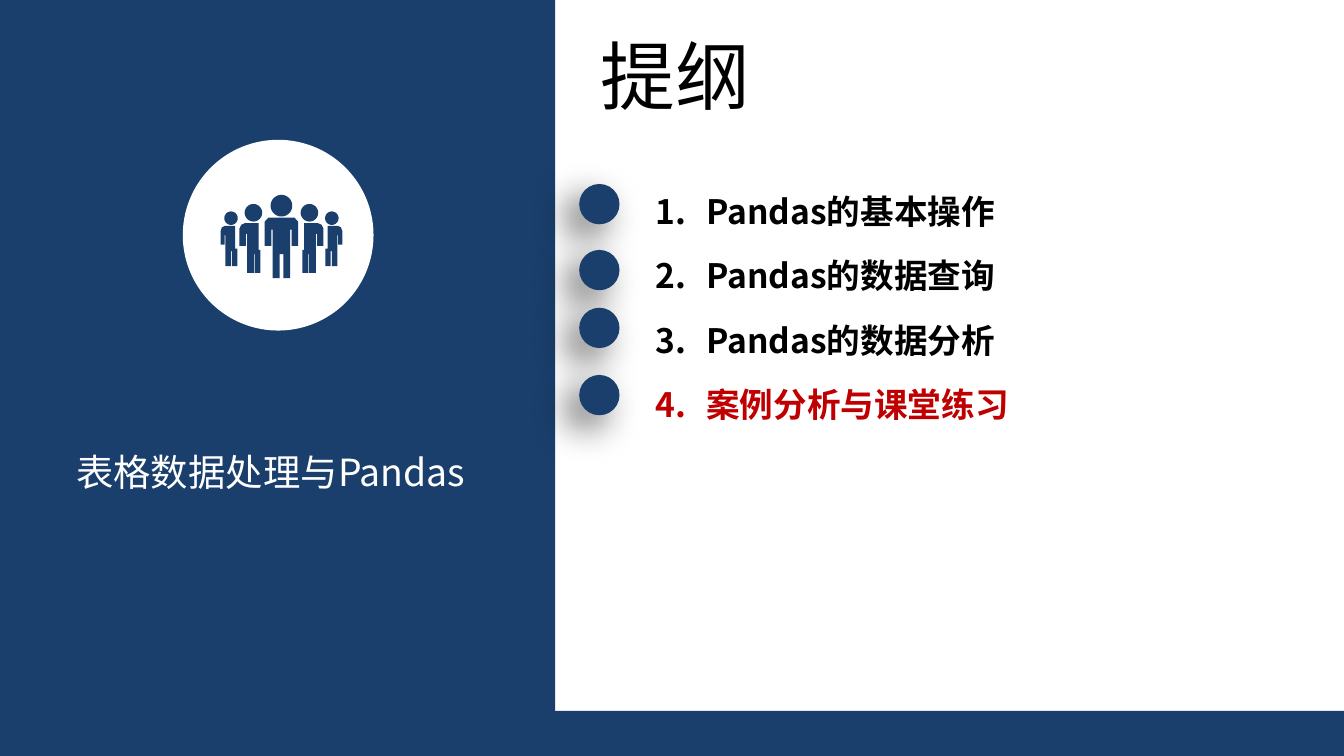
"""Build the outline slide for the lesson on tabular data and Pandas."""
import math
from dataclasses import dataclass

import pptx
import pptx.dml.color
import pptx.enum.shapes
import pptx.enum.text
import pptx.oxml.ns
import pptx.util
from lxml import etree

Pt = pptx.util.Pt
Kind = pptx.enum.shapes.MSO_SHAPE
Align = pptx.enum.text.PP_ALIGN
Fit = pptx.enum.text.MSO_AUTO_SIZE
qn = pptx.oxml.ns.qn


@dataclass(frozen=True)
class Theme:
    navy: str = "1A3F6C"
    white: str = "FFFFFF"
    black: str = "000000"
    red: str = "C00000"
    font: str = "Noto Sans CJK SC"
    title: int = 40
    label: int = 20
    item: int = 18


@dataclass(frozen=True)
class Box:
    left: float
    top: float
    width: float
    height: float

    def spans(self) -> list:
        return [Pt(n) for n in (self.left, self.top, self.width, self.height)]


@dataclass(frozen=True)
class Item:
    text: str
    top: float
    color: str


@dataclass(frozen=True)
class Head:
    x: float
    y: float
    radius: float


THEME = Theme()
ITEMS = [
    Item("Pandas的基本操作", 98.6, THEME.black),
    Item("Pandas的数据查询", 133.9, THEME.black),
    Item("Pandas的数据分析", 164.9, THEME.black),
    Item("案例分析与课堂练习", 200.9, THEME.red),
]
AXIS, CROWN = 150.8, 104.4
HEADS = [Head(0, 5.8, 5.8), Head(15, 9.6, 4.7), Head(27, 12.5, 3.6)]
HALF = [(0, 12.2), (7, 12.2), (9, 14.4), (9, 27.4), (5.4, 27.4), (5.4, 18.7),
        (4.7, 18.7), (4.7, 44.6), (1, 44.6), (1, 31.7), (0, 31.7)]
INNER = [(11.2, 29.5), (11.2, 41.8), (14.4, 41.8), (14.4, 31.7), (14.8, 31.7),
         (14.8, 41.8), (18.4, 41.8), (18.4, 20.9), (19.1, 20.9), (19.1, 27.4),
         (22.5, 27.4), (22.5, 18), (21.5, 16), (19.4, 15.1), (12.2, 15.1), (12.2, 29.5)]
OUTER = [(23.6, 28.8), (23.6, 38.2), (26.4, 38.2), (26.4, 30.2), (27, 30.2),
         (27, 38.2), (30, 38.2), (30, 21.6), (30.4, 21.6), (30.4, 26.6),
         (32.6, 26.6), (32.6, 19.4), (31.9, 17.4), (30.2, 16.6), (24.8, 16.6), (24.8, 28.8)]


def tint(code: str) -> pptx.dml.color.RGBColor:
    return pptx.dml.color.RGBColor.from_string(code)


def paint(shape, color: str) -> None:
    shape.shadow.inherit = False
    shape.fill.solid()
    shape.fill.fore_color.rgb = tint(color)
    shape.line.fill.background()


def draw(shapes, kind: int, box: Box, color: str):
    shape = shapes.add_shape(kind, *box.spans())
    paint(shape, color)
    return shape


def shade(shape) -> None:
    glow = etree.SubElement(
        shape.element.spPr.find(qn("a:effectLst")), qn("a:outerShdw"),
        blurRad=str(Pt(20)), dist=str(Pt(10)), dir="8100000", algn="tr", rotWithShape="0")
    hue = etree.SubElement(glow, qn("a:srgbClr"), val=THEME.black)
    etree.SubElement(hue, qn("a:alpha"), val="60000")


def place(shape, box: Box, wrap: bool) -> None:
    shape.left, shape.top, shape.width, shape.height = box.spans()
    frame = shape.text_frame
    frame.word_wrap = wrap
    frame.auto_size = Fit.SHAPE_TO_FIT_TEXT
    frame.vertical_anchor = pptx.enum.text.MSO_ANCHOR.TOP


def style(line, size: int, color: str, align: int, bold: bool = False) -> None:
    line.alignment = align
    for run in line.runs:
        font = run.font
        font.name, font.size, font.bold = THEME.font, Pt(size), bold
        font.color.rgb = tint(color)
        etree.SubElement(run._r.get_or_add_rPr(), qn("a:ea"), typeface=THEME.font)


def count(line) -> None:
    props = line._p.get_or_add_pPr()
    props.set("marL", str(Pt(27)))
    props.set("indent", str(Pt(-27)))
    etree.SubElement(props, qn("a:buFont"), typeface="+mj-lt")
    etree.SubElement(props, qn("a:buAutoNum"), type="arabicPeriod")
    line.line_spacing = 1.6
    line.space_before = Pt(0)


def ring(head: Head) -> list:
    turns = [math.tau * n / 40 for n in range(40)]
    return [(head.x + head.radius * math.cos(a), head.y + head.radius * math.sin(a))
            for a in turns]


def flip(path: list) -> list:
    return [(-x, y) for x, y in path]


def crowd(shapes) -> None:
    first, *rest = [ring(head) for head in HEADS]
    sides = [*rest, INNER, OUTER]
    paths = [first, HALF + flip(HALF)[::-1], *sides, *map(flip, sides)]
    pen = None
    for path in paths:
        start, *ends = [((AXIS + x) * 100, (CROWN + y) * 100) for x, y in path]
        if pen is None:
            pen = shapes.build_freeform(*start, scale=Pt(1) / 100)
        else:
            pen.move_to(*start)
        pen.add_line_segments(ends, close=True)
    paint(pen.convert_to_shape(), THEME.navy)


def main() -> None:
    deck = pptx.Presentation()
    deck.slide_width, deck.slide_height = Pt(720), Pt(405)
    slide = deck.slides.add_slide(deck.slide_layouts[1])
    shapes = slide.shapes

    draw(shapes, Kind.RECTANGLE, Box(0, 380.9, 720, 24.1), THEME.navy)
    draw(shapes, Kind.RECTANGLE, Box(0, 0, 297.4, 405), THEME.navy)

    title = shapes.title
    place(title, Box(314.6, 12.2, 95, 55.4), False)
    title.text_frame.text = "提纲"
    style(title.text_frame.paragraphs[0], THEME.title, THEME.black, Align.LEFT)

    label = shapes.add_textbox(0, 0, 0, 0)
    place(label, Box(38.9, 240.5, 212.4, 24.5), True)
    frame = label.text_frame
    frame.margin_left = frame.margin_right = frame.margin_top = frame.margin_bottom = 0
    frame.text = "表格数据处理与Pandas"
    style(frame.paragraphs[0], THEME.label, THEME.white, Align.CENTER)

    badge = shapes.add_group_shape()
    draw(badge.shapes, Kind.OVAL, Box(97.9, 74.9, 102.2, 102.2), THEME.white)
    crowd(badge.shapes)

    body = slide.placeholders[1]
    place(body, Box(344.2, 85.7, 205.2, 146.9), False)
    body.text_frame.text = "\n".join(item.text for item in ITEMS)
    for item, line in zip(ITEMS, body.text_frame.paragraphs):
        count(line)
        style(line, THEME.item, item.color, Align.LEFT, True)
        shade(draw(shapes, Kind.OVAL, Box(310.3, item.top, 21.6, 21.6), THEME.navy))

    deck.save("out.pptx")


if __name__ == "__main__":
    main()
